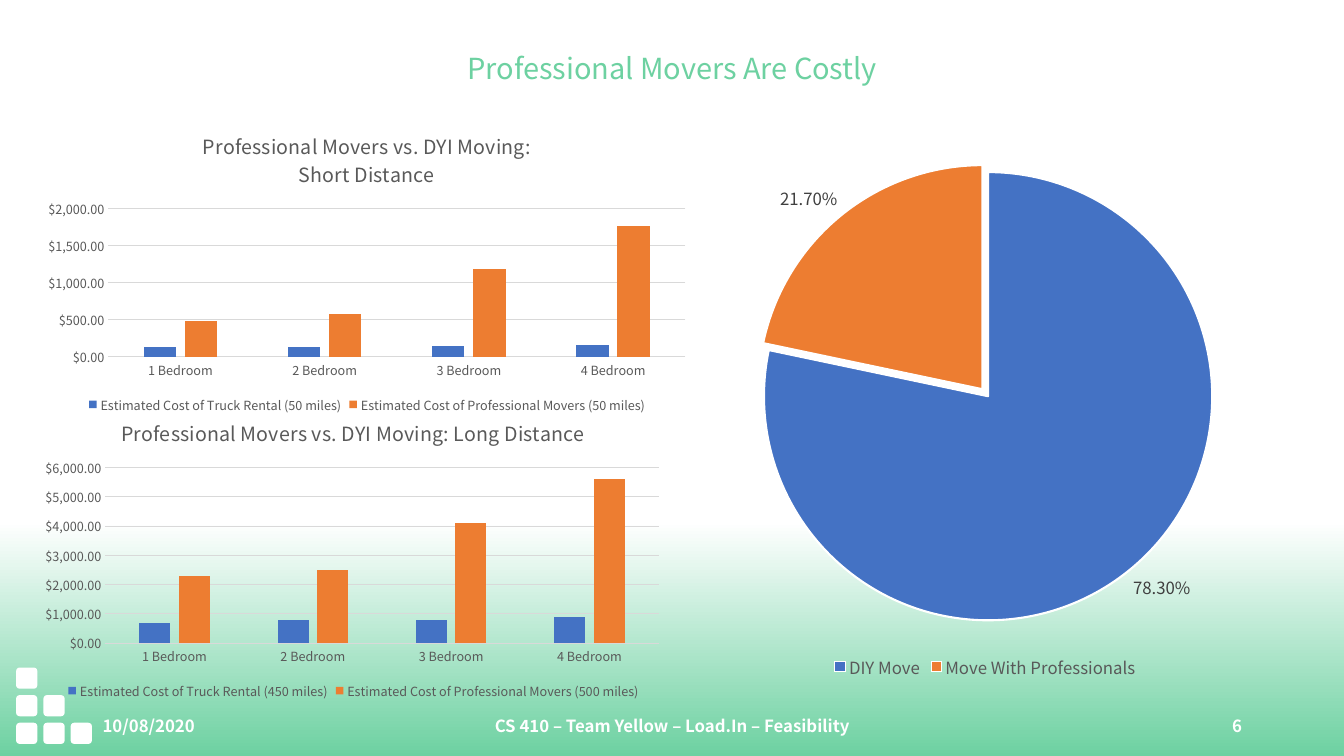
from dataclasses import dataclass

from lxml import etree
from pptx import Presentation
from pptx import util as u
from pptx.chart import data as chart_data
from pptx.dml.color import RGBColor
from pptx.enum import chart as ch, shapes, text
from pptx.oxml.ns import qn

COLORS = {"green": "6DD1A1", "white": "FFFFFF", "blue": "4472C4",
          "orange": "ED7D31", "gray": "595959", "dark": "404040",
          "grid": "D9D9D9", "black": "000000"}
FONT = "Noto Sans CJK KR"
BEDROOMS = ["1 Bedroom", "2 Bedroom", "3 Bedroom", "4 Bedroom"]
SLIDE_W, SLIDE_H = u.Inches(13.333), u.Inches(7.5)


@dataclass(frozen=True)
class Box:
    """An area in percent of the slide's width and height."""
    left: float
    top: float
    width: float
    height: float

    def emu(self) -> tuple[int, int, int, int]:
        return (int(SLIDE_W * self.left / 100), int(SLIDE_H * self.top / 100),
                int(SLIDE_W * self.width / 100), int(SLIDE_H * self.height / 100))


@dataclass(frozen=True)
class FooterItem:
    wording: str
    left: float
    width: float
    align: text.PP_ALIGN


@dataclass(frozen=True)
class CostChart:
    title: str
    box: Box
    plot: tuple[float, float, float, float]
    series: dict[str, list[int]]
    maximum: int | None = None


FOOTER = [
    FooterItem("10/08/2020", 6.9, 22.5, text.PP_ALIGN.LEFT),
    FooterItem("CS 410 – Team Yellow – Load.In – Feasibility", 33.15, 33.75,
               text.PP_ALIGN.CENTER),
    FooterItem("6", 70.65, 22.5, text.PP_ALIGN.RIGHT),
]
COST_CHARTS = [
    CostChart("Professional Movers vs. DYI Moving:\nShort Distance",
              Box(2.63, 15.2, 49.35, 40), (0.11, 0.31, 0.87, 0.49),
              {"Estimated Cost of Truck Rental (50 miles)": [130, 130, 140, 160],
               "Estimated Cost of Professional Movers (50 miles)": [480, 580, 1180, 1770]},
              2000),
    CostChart("Professional Movers vs. DYI Moving: Long Distance",
              Box(2.63, 53.07, 47.33, 40), (0.11, 0.22, 0.87, 0.58),
              {"Estimated Cost of Truck Rental (450 miles)": [700, 800, 800, 900],
               "Estimated Cost of Professional Movers (500 miles)": [2300, 2500, 4100, 5600]}),
]


def rgb(name: str) -> RGBColor:
    return RGBColor.from_string(COLORS[name])


def style(font, size: float, color: str, bold: bool = False, name: str = FONT) -> None:
    font.name, font.size, font.bold = name, u.Pt(size), bold
    font.color.rgb = rgb(color)


def paint_background(slide) -> None:
    fill = slide.background.fill
    fill.gradient()
    fill.gradient_angle = 270
    for stop, position, color in zip(fill.gradient_stops, (0.69, 1), ("white", "green")):
        stop.position = position
        stop.color.rgb = rgb(color)


def add_corner_squares(slide) -> None:
    for column, count in enumerate((3, 2, 1)):
        for level in range(count):
            box = Box(1.2 + 2.03 * column, 95.6 - 3.65 * level, 1.58, 2.8)
            square = slide.shapes.add_shape(shapes.MSO_SHAPE.ROUNDED_RECTANGLE, *box.emu())
            square.shadow.inherit = False
            square.fill.solid()
            square.fill.fore_color.rgb = rgb("white")
            square.line.fill.background()


def set_title(slide, wording: str) -> None:
    title = slide.shapes.title
    title.left, title.top, title.width, title.height = Box(6.9, 5.33, 86.25, 7.87).emu()
    frame = title.text_frame
    frame.text = wording
    frame.auto_size = text.MSO_AUTO_SIZE.NONE
    frame.vertical_anchor = text.MSO_ANCHOR.MIDDLE
    line = frame.paragraphs[0]
    line.alignment, line.line_spacing = text.PP_ALIGN.CENTER, 0.9
    style(line.runs[0].font, 20.7, "green")


def add_footer_item(slide, item: FooterItem) -> None:
    box = Box(item.left, 92, item.width, 8)
    frame = slide.shapes.add_textbox(*box.emu()).text_frame
    frame.word_wrap = True
    frame.vertical_anchor = text.MSO_ANCHOR.MIDDLE
    frame.text = item.wording
    frame.paragraphs[0].alignment = item.align
    style(frame.paragraphs[0].runs[0].font, 12, "white", bold=True)


def place_plot(chart, plot: tuple[float, float, float, float]) -> None:
    """Fix the inner plot area, in shares of the chart's size."""
    area = chart.plots[0]._element.getparent()
    for old in area.findall(qn("c:layout")):
        area.remove(old)
    layout = etree.Element(qn("c:layout"))
    manual = etree.SubElement(layout, qn("c:manualLayout"))
    settings = [("layoutTarget", "inner"), ("xMode", "edge"), ("yMode", "edge"),
                *zip("xywh", plot)]
    for tag, value in settings:
        etree.SubElement(manual, qn(f"c:{tag}")).set("val", str(value))
    area.insert(0, layout)


def add_chart(slide, kind: ch.XL_CHART_TYPE, box: Box, categories: list[str],
              series: dict[str, list], legend_size: float):
    data = chart_data.CategoryChartData()
    data.categories = categories
    for name, values in series.items():
        data.add_series(name, values)
    chart = slide.shapes.add_chart(kind, *box.emu(), data).chart
    style(chart.font, 10, "black", name="Arial")
    chart.has_legend = True
    chart.legend.position = ch.XL_LEGEND_POSITION.BOTTOM
    chart.legend.include_in_layout = False
    style(chart.legend.font, legend_size, "gray")
    return chart


def add_cost_chart(slide, cost: CostChart) -> None:
    chart = add_chart(slide, ch.XL_CHART_TYPE.COLUMN_CLUSTERED, cost.box, BEDROOMS,
                      cost.series, 9)
    chart.has_title = True
    heading = chart.chart_title.text_frame
    heading.text = cost.title
    for line in heading.paragraphs:
        style(line.runs[0].font, 14, "gray")
    bars = chart.plots[0]
    bars.gap_width, bars.overlap, bars.vary_by_categories = 219, -27, False
    for series, color in zip(bars.series, ("blue", "orange")):
        series.format.fill.solid()
        series.format.fill.fore_color.rgb = rgb(color)
    rooms, dollars = chart.category_axis, chart.value_axis
    for axis in (rooms, dollars):
        axis.major_tick_mark = axis.minor_tick_mark = ch.XL_TICK_MARK.NONE
        style(axis.tick_labels.font, 9, "gray")
    for line in (rooms.format.line, dollars.major_gridlines.format.line):
        line.color.rgb, line.width = rgb("grid"), u.Pt(0.75)
    dollars.format.line.fill.background()
    dollars.minimum_scale = 0
    if cost.maximum:
        dollars.maximum_scale = cost.maximum
    dollars.tick_labels.number_format = r"\$#,##0.00"
    dollars.tick_labels.number_format_is_linked = False
    place_plot(chart, cost.plot)


def add_share_pie(slide) -> None:
    chart = add_chart(slide, ch.XL_CHART_TYPE.PIE, Box(52.05, 17.87, 42.53, 72.53),
                      ["DIY Move", "Move With Professionals"],
                      {"Series 1": [78.3, 21.7]}, 12)
    chart.has_title = False
    pie = chart.plots[0]
    pie.vary_by_categories = True
    shares = pie.series[0]
    for index, color in enumerate(("blue", "orange")):
        piece = shares.points[index].format
        piece.fill.solid()
        piece.fill.fore_color.rgb = rgb(color)
        piece.line.color.rgb, piece.line.width = rgb("white"), u.Pt(1.5)
    # Pull the slices apart
    explosion = etree.Element(qn("c:explosion"))
    explosion.set("val", "2")
    shares._element.find(qn("c:dPt")).addprevious(explosion)
    labels = shares.data_labels
    labels.show_percentage, labels.show_value = True, False
    labels.number_format, labels.number_format_is_linked = "0.00%", False
    labels.position = ch.XL_LABEL_POSITION.OUTSIDE_END
    style(labels.font, 12, "dark")
    place_plot(chart, (0.1, 0.05, 0.8, 0.84))


def main() -> None:
    deck = Presentation()
    deck.slide_width, deck.slide_height = SLIDE_W, SLIDE_H
    slide = deck.slides.add_slide(deck.slide_layouts[5])
    # Backdrop and frame
    paint_background(slide)
    add_corner_squares(slide)
    set_title(slide, "Professional Movers Are Costly")
    for item in FOOTER:
        add_footer_item(slide, item)
    # Charts
    for cost in COST_CHARTS:
        add_cost_chart(slide, cost)
    add_share_pie(slide)
    deck.save("out.pptx")


if __name__ == "__main__":
    main()
